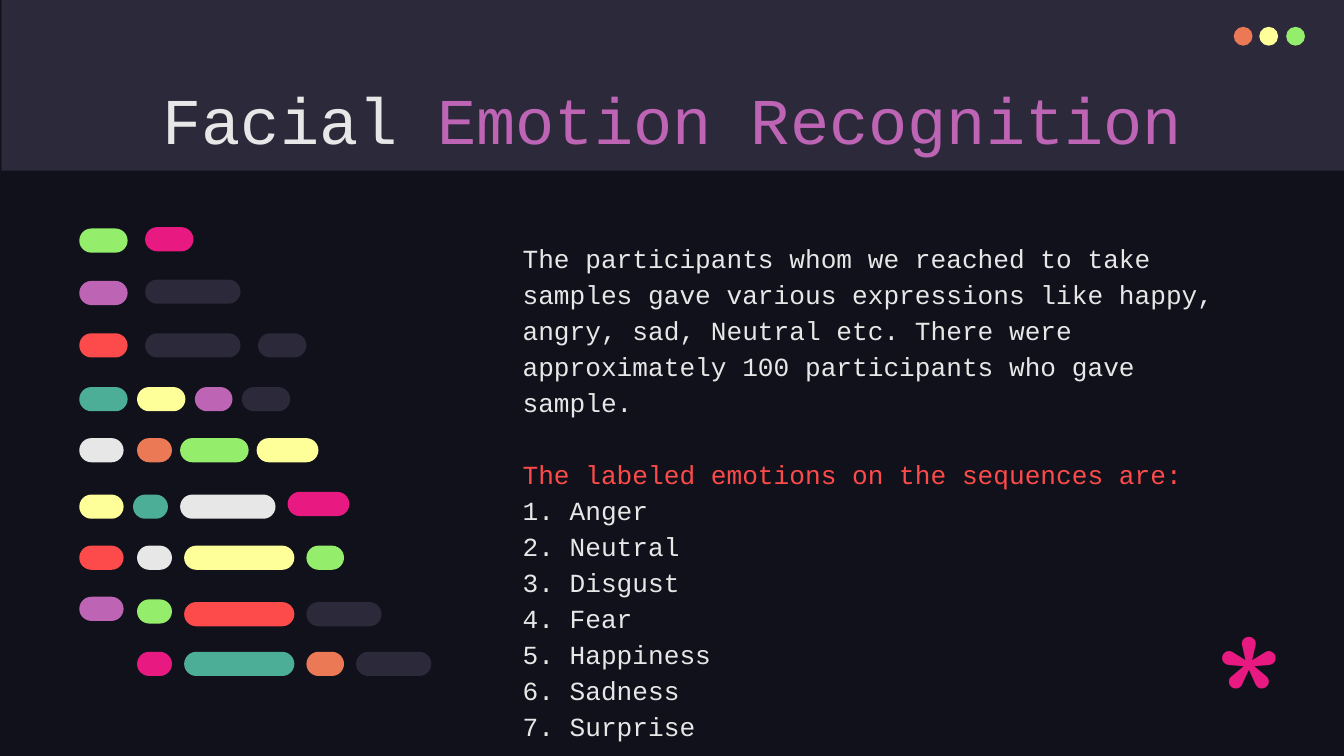
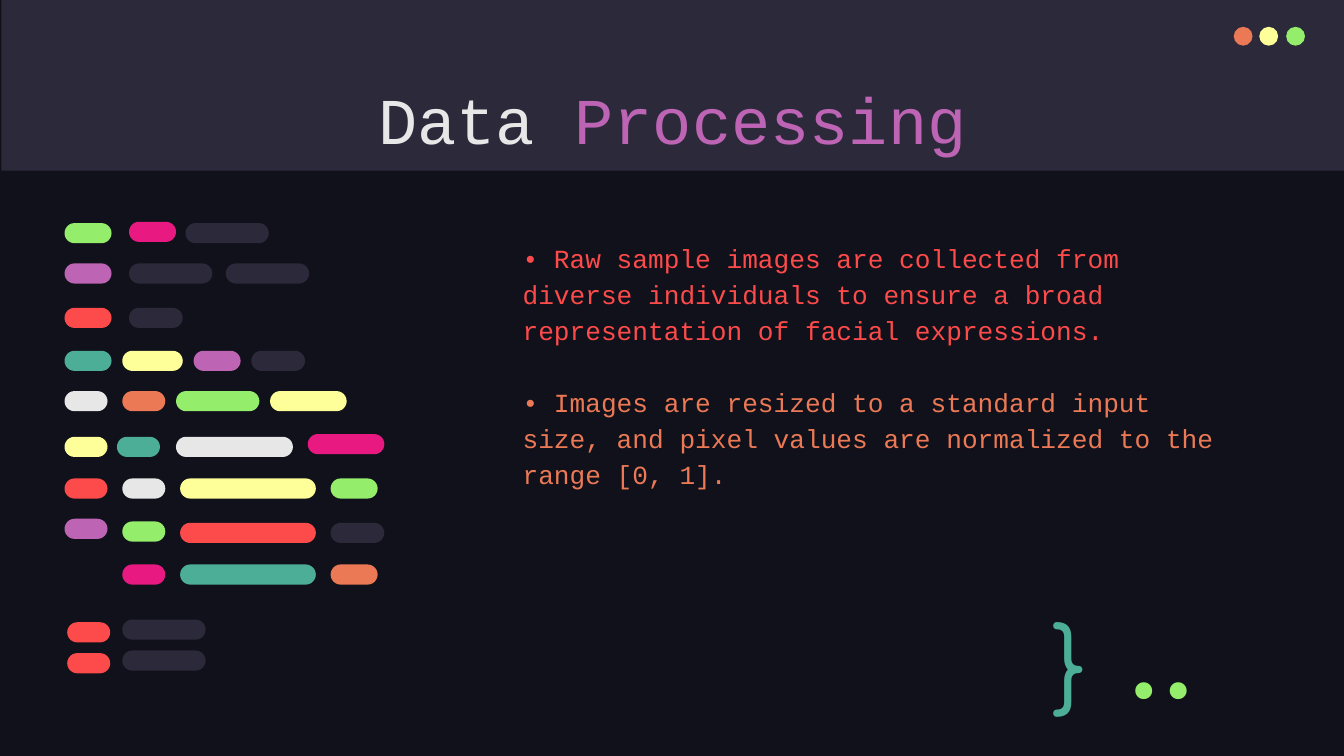
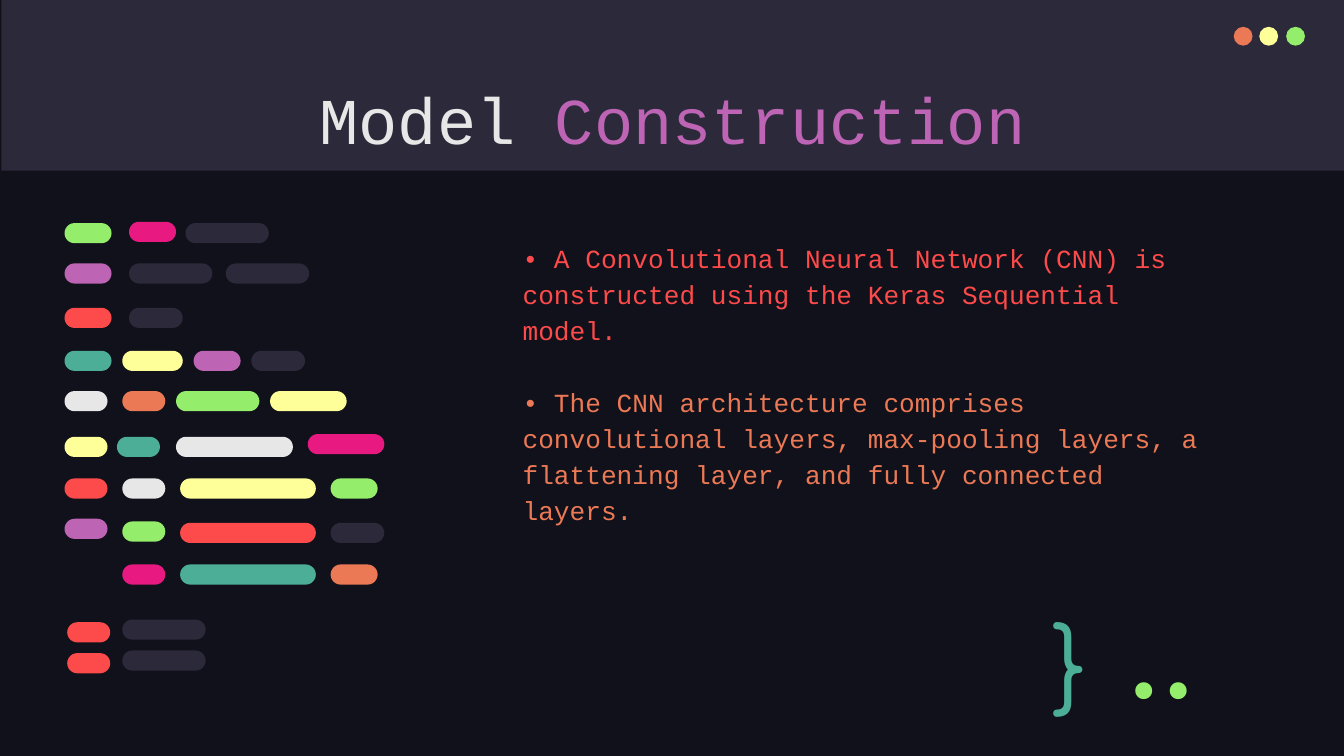
"""Build three dark, code-styled slides about facial emotion recognition."""
import pptx
import pptx.dml.color
import pptx.enum.shapes
import pptx.enum.text
import pptx.util

SCALE = 9144
SLIDE_WIDTH = 1000
COLOURS = {
    "night": "10111A", "slate": "2C293A", "white": "E7E7E7", "purple": "BD64B5",
    "red": "FD4A4A", "orange": "EC7955", "yellow": "FFFF99", "green": "94EE6B",
    "pink": "E81A81", "teal": "4CAE97",
}
SHAPES = pptx.enum.shapes.MSO_SHAPE
ALIGN = pptx.enum.text.PP_ALIGN
ANCHOR = pptx.enum.text.MSO_ANCHOR
CODE_FONT = "Courier New"
TITLE_FONT = {"name": CODE_FONT, "size": pptx.util.Pt(35)}
BODY_FONT = {"name": CODE_FONT, "size": pptx.util.Pt(14)}
BODY_GAP = pptx.util.Pt(19)

HEADER_BOX = (1, 0, 1000, 127)
BODY_BOX = (379, 167, 543, 336)
ASTERISK_BOX = (894, 435, 57, 87)
BRACE_BOX = (773, 438, 57, 83)

WIDE_PILLS = {"origin": (59, 169), "height": 18, "rows": [
    (0, [(0, 1, 36, "green"), (49, 0, 36, "pink")]),
    (39, [(0, 1, 36, "purple"), (49, 0, 71, "slate")]),
    (79, [(0, 0, 36, "red"), (49, 0, 71, "slate"), (133, 0, 36, "slate")]),
    (119, [(0, 0, 36, "teal"), (43, 0, 36, "yellow"), (86, 0, 28, "purple"), (121, 0, 36, "slate")]),
    (157, [(0, 0, 33, "white"), (43, 0, 26, "orange"), (75, 0, 51, "green"), (132, 0, 46, "yellow")]),
    (197, [(0, 2, 33, "yellow"), (40, 2, 26, "teal"), (75, 2, 71, "white"), (155, 0, 46, "pink")]),
    (237, [(0, 0, 33, "red"), (43, 0, 26, "white"), (78, 0, 82, "yellow"), (169, 0, 28, "green")]),
    (275, [(0, 0, 33, "purple"), (43, 2, 26, "green"), (78, 4, 82, "red"), (169, 4, 56, "slate")]),
    (316, [(43, 0, 26, "pink"), (78, 0, 82, "teal"), (169, 0, 28, "orange"), (206, 0, 56, "slate")]),
]}
CLOSING_ROW = [(2, 2, 32, "red"), (43, 0, 62, "slate")]
SLIM_PILLS = {"origin": (48, 165), "height": 15, "rows": [
    (0, [(0, 1, 35, "green"), (48, 0, 35, "pink"), (90, 1, 62, "slate")]),
    (31, [(0, 0, 35, "purple"), (48, 0, 62, "slate"), (120, 0, 62, "slate")]),
    (64, [(0, 0, 35, "red"), (48, 0, 40, "slate")]),
    (96, [(0, 0, 35, "teal"), (43, 0, 45, "yellow"), (96, 0, 35, "purple"), (139, 0, 40, "slate")]),
    (126, [(0, 0, 32, "white"), (43, 0, 32, "orange"), (83, 0, 62, "green"), (153, 0, 57, "yellow")]),
    (158, [(0, 2, 32, "yellow"), (39, 2, 32, "teal"), (83, 2, 87, "white"), (181, 0, 57, "pink")]),
    (191, [(0, 0, 32, "red"), (43, 0, 32, "white"), (86, 0, 101, "yellow"), (198, 0, 35, "green")]),
    (221, [(0, 0, 32, "purple"), (43, 2, 32, "green"), (86, 3, 101, "red"), (198, 3, 40, "slate")]),
    (255, [(43, 0, 32, "pink"), (86, 0, 101, "teal"), (198, 0, 35, "orange")]),
    (296, CLOSING_ROW),
    (319, CLOSING_ROW),
]}

EMOTIONS = ["Anger", "Neutral", "Disgust", "Fear", "Happiness", "Sadness", "Surprise"]
EMOTION_TEXT = [
    ("The participants whom we reached to take samples gave various expressions like happy, "
     "angry, sad, Neutral etc. There were approximately 100 participants who gave sample.", "white", False),
    ("The labeled emotions on the sequences are:", "red", True),
    *[(f"{number}. {emotion}", "white", False) for number, emotion in enumerate(EMOTIONS, 1)],
]
PROCESSING_TEXT = [
    ("• Raw sample images are collected from diverse individuals to ensure a broad "
     "representation of facial expressions.", "red", False),
    ("• Images are resized to a standard input size, and pixel values are normalized "
     "to the range [0, 1].", "orange", True),
]
MODEL_TEXT = [
    ("• A Convolutional Neural Network (CNN) is constructed using the Keras "
     "Sequential model.", "red", False),
    ("• The CNN architecture comprises convolutional layers, max-pooling layers, "
     "a flattening layer, and fully connected layers.", "orange", True),
]


def set_values(target, values):
    """Set each named attribute of the target."""
    for name, value in values.items():
        setattr(target, name, value)


def colour(name):
    """Return the named colour."""
    return pptx.dml.color.RGBColor.from_string(COLOURS[name])


def emu(*lengths):
    """Turn px lengths into EMU."""
    return [pptx.util.Emu(length * SCALE) for length in lengths]


def add_filled(shapes, kind, box, fill):
    """Add a flat shape without outline."""
    shape = shapes.add_shape(kind, *emu(*box))
    shape.shadow.inherit = False
    shape.fill.solid()
    shape.fill.fore_color.rgb = colour(fill)
    shape.line.fill.background()
    return shape


def add_text(slide, box, paragraphs, font, paragraph_format=None, anchor=ANCHOR.TOP):
    """Add a text box from paragraphs of (text, colour) runs."""
    frame = slide.shapes.add_textbox(*emu(*box)).text_frame
    margins = {f"margin_{side}": emu(10)[0] for side in ("left", "top", "right", "bottom")}
    set_values(frame, {"word_wrap": True, "vertical_anchor": anchor, **margins})
    for index, runs in enumerate(paragraphs):
        paragraph = frame.add_paragraph() if index else frame.paragraphs[0]
        set_values(paragraph, paragraph_format or {})
        for text, text_colour in runs:
            run = paragraph.add_run()
            run.text = text
            set_values(run.font, font)
            run.font.color.rgb = colour(text_colour)
    return frame


def add_header(slide, box, lead, accent):
    """Add the title band with its window dots and two-colour title."""
    left, top, width, height = box
    add_filled(slide.shapes, SHAPES.RECTANGLE, box, "slate")
    dots = slide.shapes.add_group_shape().shapes
    for index, fill in enumerate(("orange", "yellow", "green")):
        add_filled(dots, SHAPES.OVAL, (left + 917 + index * 39 // 2, top + 20, 14, 14), fill)
    add_text(slide, (left + 78, top + 49, 843, 63), [[(lead + " ", "white"), (accent, "purple")]],
             TITLE_FONT, {"alignment": ALIGN.CENTER})


def add_pills(slide, pattern):
    """Add the rows of pills, each given by left, drop, width and colour."""
    left, top = pattern["origin"]
    pills = slide.shapes.add_group_shape().shapes
    for row_top, row in pattern["rows"]:
        for offset, drop, width, fill in row:
            box = (left + offset, top + row_top + drop, width, pattern["height"])
            add_filled(pills, SHAPES.ROUNDED_RECTANGLE, box, fill).adjustments[0] = 0.5


def add_body(slide, box, lines):
    """Add the body text, with a gap before each new section."""
    frame = add_text(slide, box, [[(text, text_colour)] for text, text_colour, _ in lines],
                     BODY_FONT, {"line_spacing": 1.15})
    for paragraph, (_, _, starts_section) in zip(frame.paragraphs, lines):
        if starts_section:
            paragraph.space_before = BODY_GAP


def add_asterisk(slide, box):
    """Add the large asterisk."""
    add_text(slide, box, [[("*", "pink")]], {"name": "Comfortaa", "size": pptx.util.Pt(96)})


def add_brace(slide, box):
    """Add the closing brace and the two dots beside it."""
    left, top, width, height = box
    size = pptx.util.Pt(50)
    add_text(slide, box, [[("}", "teal")]], {"name": "Comfortaa", "size": size})
    add_text(slide, (left + 37, top + 24, 107, 60), [[("..", "green")]],
             {"name": "Fira Code", "size": size}, {"alignment": ALIGN.RIGHT}, ANCHOR.MIDDLE)


def add_topic_slide(presentation, title, pattern, lines, add_sign, sign_box):
    """Add one slide with header, pills, body text and closing sign."""
    slide = presentation.slides.add_slide(presentation.slide_layouts[6])
    add_header(slide, HEADER_BOX, *title)
    add_pills(slide, pattern)
    add_body(slide, BODY_BOX, lines)
    add_sign(slide, sign_box)


def main():
    """Build and save the presentation."""
    presentation = pptx.Presentation()
    presentation.slide_width = emu(SLIDE_WIDTH)[0]
    presentation.slide_height = presentation.slide_width * 9 // 16
    background = presentation.slide_master.background.fill
    background.solid()
    background.fore_color.rgb = colour("night")
    add_topic_slide(presentation, ("Facial", "Emotion Recognition"), WIDE_PILLS, EMOTION_TEXT,
                    add_asterisk, ASTERISK_BOX)
    add_topic_slide(presentation, ("Data", "Processing"), SLIM_PILLS, PROCESSING_TEXT,
                    add_brace, BRACE_BOX)
    add_topic_slide(presentation, ("Model", "Construction"), SLIM_PILLS, MODEL_TEXT,
                    add_brace, BRACE_BOX)
    presentation.save("out.pptx")


if __name__ == "__main__":
    main()
